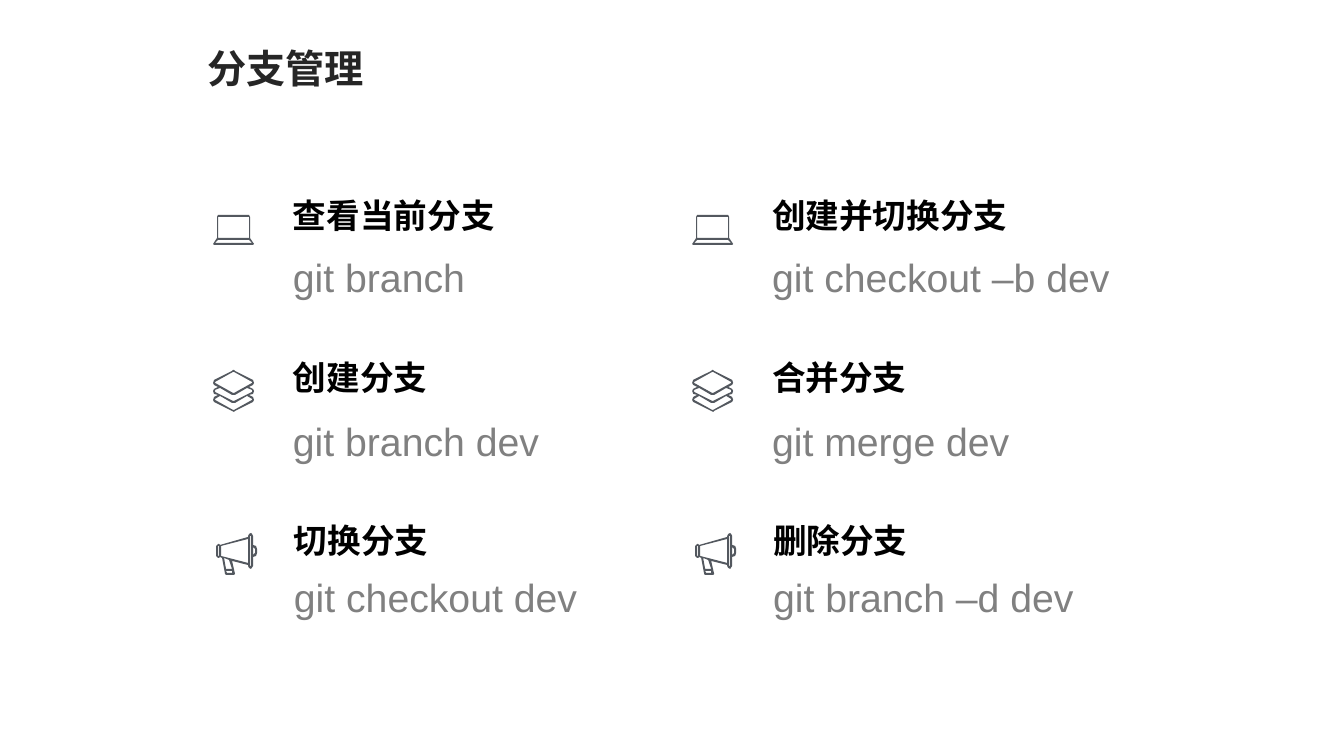
import pptx
import pptx.util
import pptx.dml.color
import pptx.enum.text

PIXEL = pptx.util.Inches(1) / 100.8
COLORS = {"title": "262626", "heading": "000000", "command": "808080", "icon": "53585F"}
ALIGN = pptx.enum.text.PP_ALIGN
FONTS = {
    "title": {"size": pptx.util.Pt(28), "bold": True},
    "heading": {"size": pptx.util.Pt(24), "bold": True},
    "command": {"size": pptx.util.Pt(28), "bold": False},
}

# Icon outlines in pixels: the silhouette first, then the holes in it
LAPTOP = [
    [(41, 29), (37, 23), (37, 2), (36, 0), (5, 0), (4, 2), (4, 23), (0, 29), (1, 30), (40, 30)],
    [(5, 2), (36, 2), (36, 23), (5, 23)],
    [(2, 28), (5, 25), (36, 25), (39, 28)],
]
LAYERS = [
    [(41, 21), (40, 19), (36, 17), (40, 15), (41, 13), (40, 10), (22, 1), (21, 0), (20, 0),
     (19, 1), (1, 10), (0, 13), (1, 15), (5, 17), (1, 19), (0, 21), (1, 24), (5, 25),
     (1, 27), (0, 30), (1, 32), (19, 41), (21, 42), (22, 41), (40, 32), (41, 30),
     (40, 27), (36, 25), (40, 24)],
    [(2, 13), (2, 12), (20, 2), (21, 2), (39, 12), (39, 13), (21, 23), (20, 23)],
    [(39, 22), (21, 31), (20, 31), (2, 22), (2, 20), (7, 18), (19, 25), (22, 25), (34, 18), (39, 20)],
    [(39, 30), (21, 40), (20, 40), (2, 30), (2, 29), (7, 26), (19, 33), (22, 33), (34, 26), (39, 29)],
]
MEGAPHONE = [
    [(37, 12), (37, 3), (36, 1), (35, 0), (33, 1), (32, 3), (32, 4), (4, 12), (3, 11), (2, 11),
     (0, 13), (0, 23), (2, 25), (3, 25), (4, 24), (6, 25), (9, 41), (10, 42), (18, 42),
     (19, 41), (16, 28), (32, 32), (32, 33), (33, 35), (35, 36), (37, 33), (37, 24),
     (40, 23), (41, 20), (41, 16), (40, 13)],
    [(39, 20), (37, 22), (37, 14), (39, 16)],
    [(35, 33), (34, 33), (34, 3), (35, 3)],
    [(32, 30), (5, 23), (5, 13), (32, 6)],
    [(16, 36), (10, 36), (8, 25), (13, 27)],
    [(16, 40), (11, 40), (10, 38), (16, 38)],
    [(3, 23), (2, 23), (2, 13), (3, 13)],
]

# Rows: icon, icon left and top, text left, heading top, command top
ROWS = [
    (LAPTOP, 213, 215, 283, 182, 239),
    (LAYERS, 213, 370, 283, 344, 403),
    (MEGAPHONE, 216, 533, 284, 507, 559),
]
COLUMN_STEP = 479
COLUMNS = [
    [("查看当前分支", "git branch"), ("创建分支", "git branch dev"), ("切换分支", "git checkout dev")],
    [("创建并切换分支", "git checkout –b dev"), ("合并分支", "git merge dev"), ("删除分支", "git branch –d dev")],
]


def px(value):
    return pptx.util.Emu(round(value * PIXEL))


def color(name):
    return pptx.dml.color.RGBColor.from_string(COLORS[name])


def set_attributes(target, values):
    for name, value in values.items():
        setattr(target, name, value)


def write_text(shape, text, role, wrap, paragraph_format):
    set_attributes(shape.text_frame, {
        "word_wrap": wrap,
        "auto_size": pptx.enum.text.MSO_AUTO_SIZE.NONE,
        "vertical_anchor": pptx.enum.text.MSO_ANCHOR.TOP,
    })
    paragraph = shape.text_frame.paragraphs[0]
    set_attributes(paragraph, paragraph_format)
    run = paragraph.add_run()
    run.text = text
    set_attributes(run.font, {"name": "Arial", **FONTS[role]})
    run.font.color.rgb = color(role)


def add_title(slide, text):
    title = slide.shapes.title
    set_attributes(title, {"left": px(197), "top": px(39), "width": px(178), "height": px(57)})
    write_text(title, text, "title", False, {"alignment": ALIGN.LEFT})


def add_label(slide, text, role, left, top, width, height):
    label = slide.shapes.add_textbox(px(left), px(top), px(width), px(height))
    write_text(label, text, role, True, {"alignment": ALIGN.JUSTIFY, "line_spacing": 1.2})


def add_icon(slide, contours, left, top):
    builder = slide.shapes.build_freeform(*contours[0][0], scale=PIXEL)
    for index, contour in enumerate(contours):
        if index:
            builder.move_to(*contour[0])
        builder.add_line_segments(contour[1:], close=True)
    icon = builder.convert_to_shape(px(left), px(top))
    icon.shadow.inherit = False
    icon.fill.solid()
    icon.fill.fore_color.rgb = color("icon")
    icon.line.fill.background()


def main():
    presentation = pptx.Presentation()
    presentation.slide_width = pptx.util.Inches(13.33)
    presentation.slide_height = pptx.util.Inches(7.5)
    slide = presentation.slides.add_slide(presentation.slide_layouts[5])
    add_title(slide, "分支管理")

    # Two columns of branch commands
    for column, entries in enumerate(COLUMNS):
        shift = column * COLUMN_STEP
        for row, (heading, command) in zip(ROWS, entries):
            contours, icon_left, icon_top, text_left, heading_top, command_top = row
            add_icon(slide, contours, icon_left + shift, icon_top)
            add_label(slide, command, "command", text_left + shift, command_top, 387, 68)
            add_label(slide, heading, "heading", text_left + shift, heading_top, 291, 55)

    presentation.save("out.pptx")


main()
